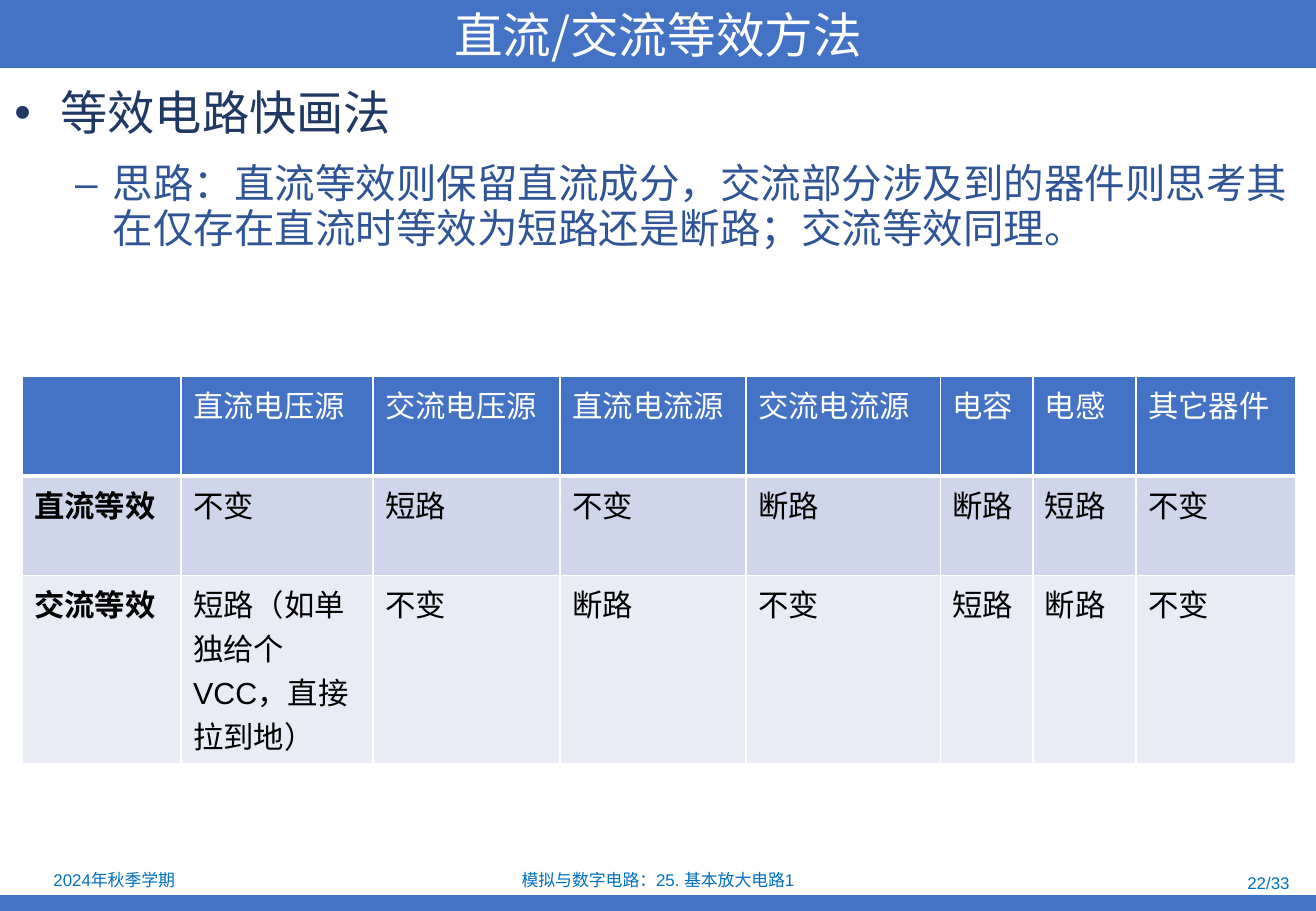
import dataclasses

import pptx
import pptx.dml.color
import pptx.enum.shapes
import pptx.enum.text
import pptx.oxml
import pptx.oxml.ns
import pptx.util
from pptx.util import Inches

ALIGN = pptx.enum.text.PP_ALIGN
ANCHOR = pptx.enum.text.MSO_ANCHOR
NS = pptx.oxml.ns.nsdecls("a")


@dataclasses.dataclass(frozen=True)
class Theme:
    latin: str = "Arial"
    chinese: str = "Noto Sans CJK SC"
    blue: str = "4472C4"
    white: str = "FFFFFF"
    black: str = "000000"
    footer: str = "0070C0"
    heading: str = "203864"
    detail: str = "2F5597"
    row_fills: tuple[str, ...] = ("4472C4", "CFD5EA", "E9EBF5")
    title_size: float = 28.8
    heading_size: float = 28
    detail_size: float = 24
    table_size: float = 18
    footer_size: float = 10


@dataclasses.dataclass(frozen=True)
class Footer:
    text: str
    left: float
    top: float
    width: float
    height: float
    align: ALIGN


@dataclasses.dataclass(frozen=True)
class Bullet:
    text: str
    level: int
    mark: str
    margin: float
    hanging: float
    size: float
    color: str


THEME = Theme()

FOOTERS = [
    Footer("2024年秋季学期", 0.02, 7.13, 1.84, 0.23, ALIGN.CENTER),
    Footer("模拟与数字电路：25. 基本放大电路1", 3.7, 7.14, 3.43, 0.21, ALIGN.CENTER),
    Footer("22/33", 8.18, 7.16, 2.53, 0.21, ALIGN.RIGHT),
]

BULLETS = [
    Bullet("等效电路快画法", 0, "•", 0.38, 0.38, THEME.heading_size, THEME.heading),
    Bullet(
        "思路：直流等效则保留直流成分，交流部分涉及到的器件则思考其"
        "在仅存在直流时等效为短路还是断路；交流等效同理。",
        1, "–", 0.81, 0.31, THEME.detail_size, THEME.detail),
]

COLUMN_WIDTHS = [1.31, 1.58, 1.54, 1.53, 1.6, 0.76, 0.85, 1.31]
ROW_HEIGHTS = [0.82, 0.82, 1.55]
EQUIVALENTS = [
    ["", "直流电压源", "交流电压源", "直流电流源", "交流电流源", "电容", "电感", "其它器件"],
    ["直流等效", "不变", "短路", "不变", "断路", "断路", "短路", "不变"],
    ["交流等效", "短路（如单独给个VCC，直接拉到地）", "不变", "断路", "不变", "短路", "断路", "不变"],
]


def rgb(color: str) -> pptx.dml.color.RGBColor:
    return pptx.dml.color.RGBColor.from_string(color)


def add_run(paragraph, text: str, size: float, color: str, font: str, bold: bool = False) -> None:
    run = paragraph.add_run()
    run.text = text
    run.font.size = pptx.util.Pt(size)
    run.font.bold = bold
    run.font.color.rgb = rgb(color)
    run.font.name = font
    run.font._element.find(pptx.oxml.ns.qn("a:latin")).addnext(
        pptx.oxml.parse_xml(f'<a:ea {NS} typeface="{THEME.chinese}"/>'))


def draw_title(slide) -> None:
    title = slide.shapes.title
    title.left, title.top = Inches(0), Inches(0)
    title.width, title.height = Inches(10.83), Inches(0.56)
    title.fill.solid()
    title.fill.fore_color.rgb = rgb(THEME.blue)
    frame = title.text_frame
    frame.auto_size = pptx.enum.text.MSO_AUTO_SIZE.NONE
    frame.vertical_anchor = ANCHOR.MIDDLE
    paragraph = frame.paragraphs[0]
    paragraph.alignment = ALIGN.CENTER
    add_run(paragraph, "直流/交流等效方法", THEME.title_size, THEME.white, THEME.chinese)


def draw_bottom_bar(slide) -> None:
    bar = slide.shapes.add_shape(
        pptx.enum.shapes.MSO_SHAPE.RECTANGLE,
        Inches(0), Inches(7.37), Inches(10.83), Inches(0.13))
    bar.shadow.inherit = False
    bar.fill.solid()
    bar.fill.fore_color.rgb = rgb(THEME.blue)
    bar.line.fill.background()


def draw_footer(slide, footer: Footer) -> None:
    frame = slide.shapes.add_textbox(
        Inches(footer.left), Inches(footer.top),
        Inches(footer.width), Inches(footer.height)).text_frame
    frame.word_wrap = True
    frame.vertical_anchor = ANCHOR.MIDDLE
    paragraph = frame.paragraphs[0]
    paragraph.alignment = footer.align
    add_run(paragraph, footer.text, THEME.footer_size, THEME.footer, THEME.latin)


def draw_bullets(slide, bullets: list[Bullet]) -> None:
    frame = slide.shapes.add_textbox(
        Inches(0.02), Inches(0.64), Inches(10.81), Inches(6.5)).text_frame
    frame.word_wrap = True
    frame.margin_top = Inches(0.09)
    for index, bullet in enumerate(bullets):
        paragraph = frame.add_paragraph() if index else frame.paragraphs[0]
        paragraph.level = bullet.level
        properties = paragraph._p.get_or_add_pPr()
        properties.set("marL", str(Inches(bullet.margin)))
        properties.set("indent", str(-Inches(bullet.hanging)))
        properties.append(pptx.oxml.parse_xml(f'<a:buFont {NS} typeface="{THEME.latin}"/>'))
        properties.append(pptx.oxml.parse_xml(f'<a:buChar {NS} char="{bullet.mark}"/>'))
        paragraph.line_spacing = 0.92
        if index:
            paragraph.space_before = pptx.util.Pt(bullet.size * 0.2)
        paragraph.space_after = pptx.util.Pt(bullet.size * 0.3)
        add_run(paragraph, bullet.text, bullet.size, bullet.color, THEME.chinese)


def set_borders(cell, row: int) -> None:
    widths = {"lnL": 1, "lnR": 1, "lnT": 3 if row == 1 else 1, "lnB": 3 if row == 0 else 1}
    for side, width in widths.items():
        cell._tc.get_or_add_tcPr().append(pptx.oxml.parse_xml(
            f'<a:{side} {NS} w="{pptx.util.Pt(width)}"><a:solidFill>'
            f'<a:srgbClr val="{THEME.white}"/></a:solidFill></a:{side}>'))


def draw_table(slide) -> None:
    table = slide.shapes.add_table(
        len(ROW_HEIGHTS), len(COLUMN_WIDTHS), Inches(0.18), Inches(3.1),
        Inches(sum(COLUMN_WIDTHS)), Inches(sum(ROW_HEIGHTS))).table
    table.horz_banding = False
    for column, width in zip(table.columns, COLUMN_WIDTHS):
        column.width = Inches(width)
    for row, height in enumerate(ROW_HEIGHTS):
        table.rows[row].height = Inches(height)
        for column, text in enumerate(EQUIVALENTS[row]):
            cell = table.cell(row, column)
            set_borders(cell, row)
            cell.fill.solid()
            cell.fill.fore_color.rgb = rgb(THEME.row_fills[row])
            if text:
                add_run(cell.text_frame.paragraphs[0], text, THEME.table_size,
                        THEME.black if row else THEME.white, THEME.latin,
                        bold=row > 0 and column == 0)


def main() -> None:
    presentation = pptx.Presentation()
    presentation.slide_width = Inches(10.83)
    presentation.slide_height = Inches(7.5)
    slide = presentation.slides.add_slide(presentation.slide_layouts[5])
    draw_bottom_bar(slide)
    draw_title(slide)
    for footer in FOOTERS:
        draw_footer(slide, footer)
    draw_table(slide)
    draw_bullets(slide, BULLETS)
    presentation.save("out.pptx")


if __name__ == "__main__":
    main()
